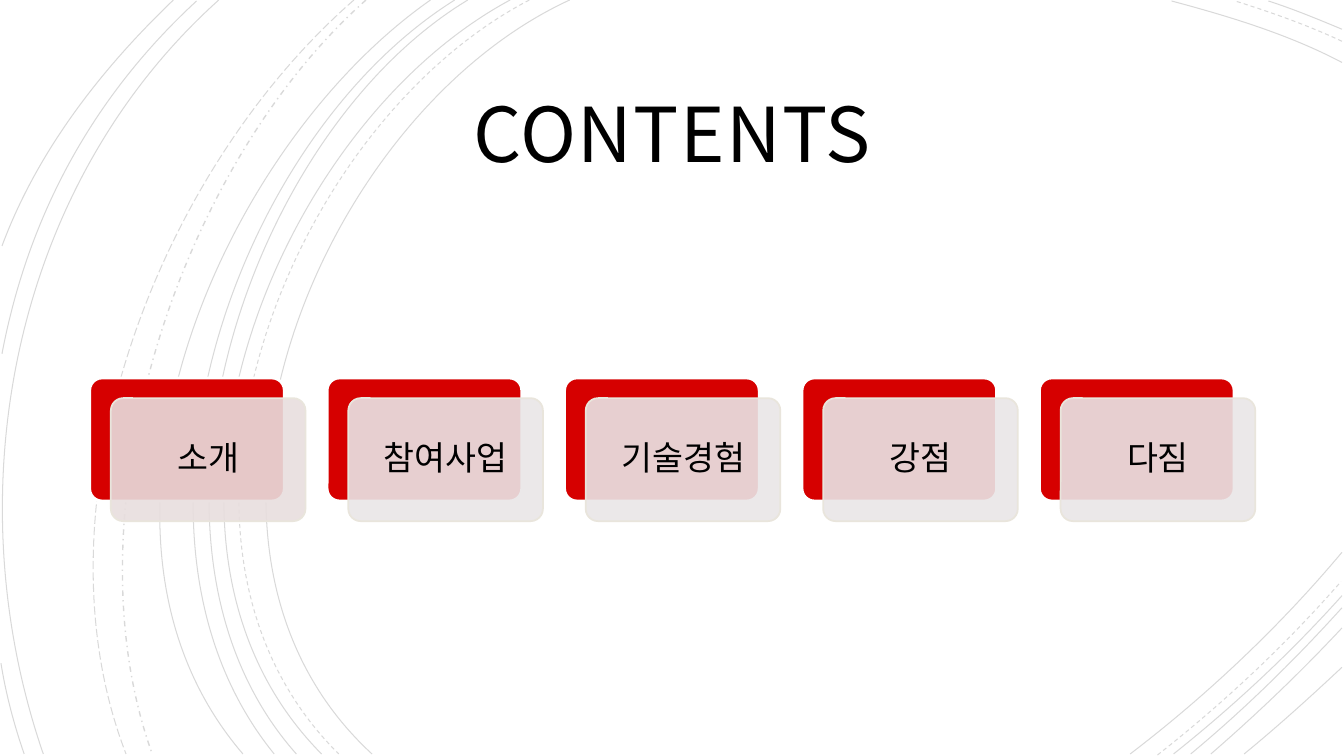
from lxml import etree
from pptx import Presentation
from pptx.dml.color import RGBColor
from pptx.enum.dml import MSO_LINE
from pptx.enum.shapes import MSO_SHAPE
from pptx.enum.text import MSO_ANCHOR, MSO_AUTO_SIZE, PP_ALIGN
from pptx.oxml.ns import qn
from pptx.util import Inches, Pt

ROUND_RECT = MSO_SHAPE.ROUNDED_RECTANGLE
MIDDLE, CENTER = MSO_ANCHOR.MIDDLE, PP_ALIGN.CENTER
SOLID, DASH = MSO_LINE.SOLID, MSO_LINE.DASH
DASH_DOT, LONG_DASH = MSO_LINE.DASH_DOT, MSO_LINE.LONG_DASH

FONT = "Noto Sans CJK KR"
COLORS = {
    "black": "000000",
    "white": "FFFFFF",
    "red": "D60000",
    "rose": "E8DEDE",
    "grey": "E9E6E7",
    "edge": "E9E5DC",
}
LINE_OPACITY, CARD_OPACITY = 15, 90

# Background arcs: start, two control points and end of a Bezier curve
ARCS = {
    SOLID: [
        ((5.65, 0), (3.15, 1.15), (1.43, 5.4), (3.69, 7.48)),
        ((5.06, 0), (2.7, 1.27), (1.1, 5.37), (3.19, 7.48)),
        ((4.64, 0), (2.44, 1.33), (1.1, 5.41), (2.94, 7.48)),
        ((4.51, 0), (2.31, 1.38), (0.97, 5.33), (2.72, 7.48)),
        ((4.27, 0), (2.17, 1.47), (0.53, 5.29), (2.41, 7.48)),
        ((2.17, 0), (0.11, 1.85), (-0.46, 4.9), (0.43, 7.48)),
        ((1.95, 0.01), (0.92, 0.96), (0.28, 2.14), (0.02, 3.51)),
        ((1.72, 0), (1, 0.69), (0.37, 1.5), (0.02, 2.44)),
        ((0.01, 6.58), (0.06, 6.89), (0.14, 7.19), (0.24, 7.48)),
        ((13.31, 0.62), (12.78, 0.34), (12.18, 0.16), (11.62, 0.01)),
        ((13.31, 0.29), (13.07, 0.19), (12.83, 0.09), (12.58, 0.01)),
        ((11.21, 7.48), (11.97, 6.9), (12.69, 6.22), (13.31, 5.48)),
        ((11.64, 7.48), (12.23, 7.01), (12.8, 6.48), (13.31, 5.91)),
        ((11.81, 7.48), (12.34, 7.04), (12.84, 6.55), (13.31, 6.03)),
        ((12.01, 7.48), (12.46, 7.09), (12.9, 6.67), (13.31, 6.23)),
        ((12.34, 7.48), (12.67, 7.21), (12.99, 6.92), (13.31, 6.62)),
    ],
    DASH: [
        ((5.25, 0), (2.85, 1.25), (1.23, 5.37), (3.36, 7.48)),
        ((13.31, 0.41), (12.97, 0.25), (12.6, 0.12), (12.25, 0.01)),
        ((11.48, 7.49), (12.13, 6.98), (12.75, 6.4), (13.3, 5.77)),
    ],
    DASH_DOT: [((3.63, 0), (1.76, 1.66), (0.65, 5.09), (1.51, 7.48))],
    LONG_DASH: [((3.51, 0), (1.57, 1.69), (0.29, 4.99), (1.25, 7.48))],
}

# Contents cards
TOPICS = ["소개", "참여사업", "기술경험", "강점", "다짐"]
CARD_LEFT, CARD_TOP, CARD_STEP = 0.89, 3.75, 2.355
CARD_W, CARD_H = 1.93, 1.22
OFFSET_X, OFFSET_Y = 0.21, 0.2
LABEL_INSET = 0.04


def rgb(name):
    return RGBColor.from_string(COLORS[name])


def set_opacity(parent, percent):
    """Add an alpha value to the solid fill inside a shape or line element."""
    color = parent.find(qn("a:solidFill")).find(qn("a:srgbClr"))
    etree.SubElement(color, qn("a:alpha"), val=str(percent * 1000))


def bend(sp):
    """Turn the three segments of a freeform into one Bezier curve."""
    segments = list(sp.element.iter(qn("a:lnTo")))
    curve = etree.SubElement(segments[0].getparent(), qn("a:cubicBezTo"))
    for segment in segments:
        curve.append(segment[0])
        segment.getparent().remove(segment)


def add_arc(shapes, curve, dash):
    points = [(Inches(x), Inches(y)) for x, y in curve]
    builder = shapes.build_freeform(*points[0])
    builder.add_line_segments(points[1:], close=False)
    sp = builder.convert_to_shape()
    bend(sp)
    sp.shadow.inherit = False
    sp.fill.background()
    sp.line.color.rgb = rgb("black")
    sp.line.width = Pt(1 if dash == DASH_DOT else 0.75)
    sp.line.dash_style = dash
    set_opacity(sp.element.spPr.find(qn("a:ln")), LINE_OPACITY)


def add_card(shapes, left, top, fill, edge, width):
    sp = shapes.add_shape(ROUND_RECT, Inches(left), Inches(top),
                          Inches(CARD_W), Inches(CARD_H))
    sp.adjustments[0] = 0.1
    sp.shadow.inherit = False
    sp.fill.solid()
    sp.fill.fore_color.rgb = rgb(fill)
    sp.line.color.rgb = rgb(edge)
    sp.line.width = Pt(width)
    return sp


def write_text(sp, text, size, margin, spacing):
    tf = sp.text_frame
    tf.text = text
    tf.word_wrap = True
    tf.auto_size = MSO_AUTO_SIZE.NONE
    tf.vertical_anchor = MIDDLE
    tf.margin_left = tf.margin_right = Inches(margin)
    tf.margin_top = tf.margin_bottom = Inches(margin)
    p = tf.paragraphs[0]
    p.alignment = CENTER
    p.line_spacing = spacing
    r = p.runs[0]
    r.font.size = Pt(size)
    r.font.name = FONT
    r.font.color.rgb = rgb("black")
    etree.SubElement(r.font._element, qn("a:ea"), typeface=FONT)
    return r


def add_topic(shapes, index, topic):
    left = CARD_LEFT + index * CARD_STEP
    add_card(shapes, left, CARD_TOP, "red", "white", 2)

    left, top = left + OFFSET_X, CARD_TOP + OFFSET_Y
    front = add_card(shapes, left, top, "grey" if index else "rose", "edge", 1.25)
    set_opacity(front.element.spPr, CARD_OPACITY)

    label = shapes.add_textbox(Inches(left + LABEL_INSET), Inches(top + LABEL_INSET),
                               Inches(CARD_W - 2 * LABEL_INSET),
                               Inches(CARD_H - 2 * LABEL_INSET))
    write_text(label, topic, 24, 0.1, 0.9)


def format_title(title):
    title.left, title.top = Inches(1.92), Inches(0.66)
    title.width, title.height = Inches(9.49), Inches(1.44)
    r = write_text(title, "CONTENTS", 54, 0.25, 0.85)
    r.font._element.set("spc", "100")


def main():
    prs = Presentation()
    prs.slide_width, prs.slide_height = Inches(13.33), Inches(7.5)
    s = prs.slides.add_slide(prs.slide_layouts[5])
    s.background.fill.solid()
    s.background.fill.fore_color.rgb = rgb("white")

    # Background arcs
    for dash, curves in ARCS.items():
        for curve in curves:
            add_arc(s.shapes, curve, dash)

    # Title, in front of the arcs
    title = s.shapes.title
    format_title(title)
    s.shapes.element.append(title.element)

    # Contents cards
    for index, topic in enumerate(TOPICS):
        add_topic(s.shapes, index, topic)

    prs.save("out.pptx")


if __name__ == "__main__":
    main()
